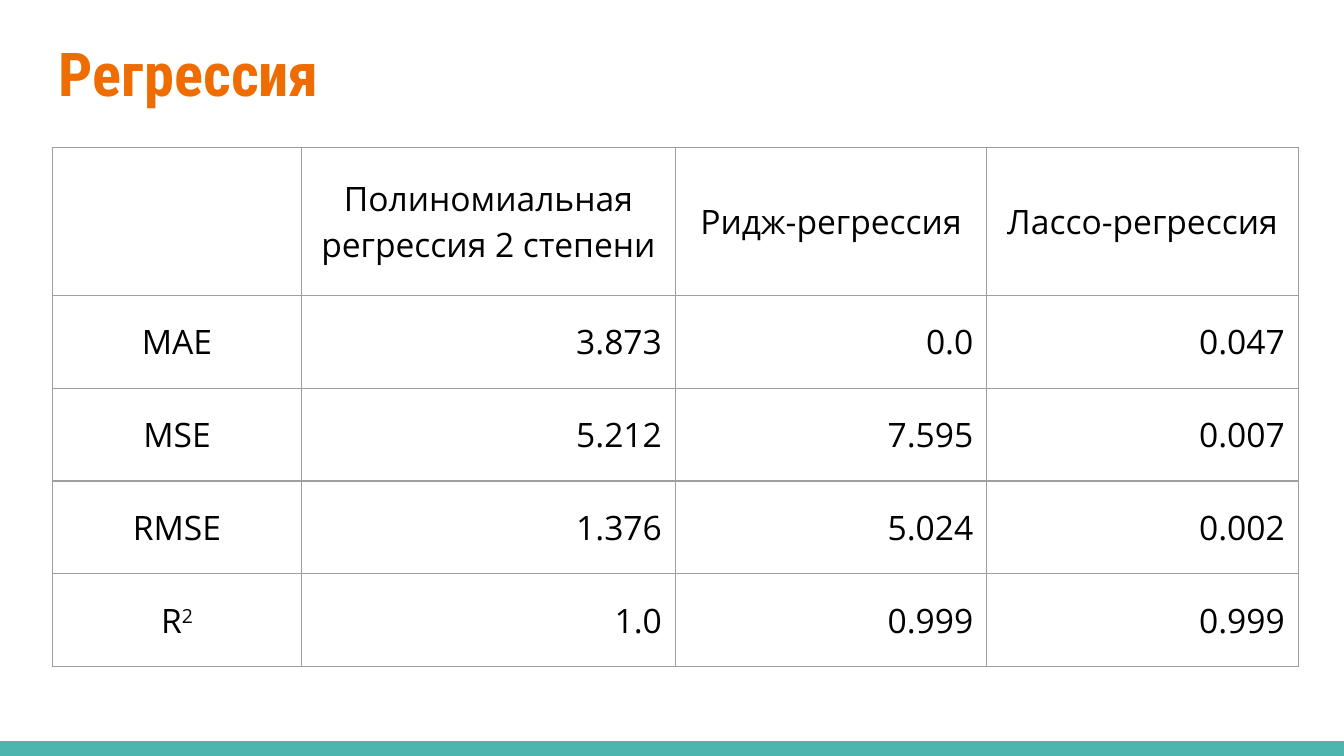
from lxml import etree
from pptx import Presentation
from pptx import util as u
from pptx.dml.color import RGBColor
from pptx.enum import shapes, text
from pptx.oxml import ns

# Content: a cell is a plain string or a list of (run, superscript)
HEADING = "Регрессия"
METRICS = [
    ["", "Полиномиальная регрессия 2 степени", "Ридж-регрессия", "Лассо-регрессия"],
    ["MAE", "3.873", "0.0", "0.047"],
    ["MSE", "5.212", "7.595", "0.007"],
    ["RMSE", "1.376", "5.024", "0.002"],
    [[("R", False), ("2", True)], "1.0", "0.999", "0.999"],
]

ORANGE = RGBColor(0xEF, 0x6C, 0x00)
TEAL = RGBColor(0x4D, 0xB6, 0xAC)
BLACK = RGBColor(0x00, 0x00, 0x00)
GREY = RGBColor(0x9E, 0x9E, 0x9E)

# Layout in inches, on a 16:9 slide
WIDTH = 10
HEIGHT = WIDTH * 9 / 16
BAND = 0.11
MARGIN = 0.34
TABLE_LEFT, TABLE_TOP = 0.39, 1.1
TABLE_WIDTH = 9.27
COLUMN_SHARES = [0.2, 0.3, 0.25, 0.25]
ROWS = [1.1] + [0.69] * (len(METRICS) - 1)
INSET = u.Inches(0.1)


def set_insets(holder):
    holder.margin_left = holder.margin_right = INSET
    holder.margin_top = holder.margin_bottom = INSET
    holder.vertical_anchor = text.MSO_ANCHOR.MIDDLE


def add_run(paragraph, words, font, size, color, bold=False, superscript=False):
    run = paragraph.add_run()
    run.text = words
    run.font.name, run.font.size, run.font.bold = font, u.Pt(size), bold
    run.font.color.rgb = color
    if superscript:
        run._r.get_or_add_rPr().set("baseline", "30000")


def add_borders(cell):
    properties = cell._tc.get_or_add_tcPr()
    for side in ("a:lnL", "a:lnR", "a:lnT", "a:lnB"):
        border = etree.SubElement(properties, ns.qn(side), w=str(u.Pt(0.75)))
        fill = etree.SubElement(border, ns.qn("a:solidFill"))
        etree.SubElement(fill, ns.qn("a:srgbClr"), val=str(GREY))


deck = Presentation()
deck.slide_width, deck.slide_height = u.Inches(WIDTH), u.Inches(HEIGHT)
slide = deck.slides.add_slide(deck.slide_layouts[6])

# Band along the bottom edge
band = slide.shapes.add_shape(
    shapes.MSO_SHAPE.RECTANGLE,
    0, u.Inches(HEIGHT - BAND), u.Inches(WIDTH), u.Inches(BAND))
band.shadow.inherit = False
band.fill.solid()
band.fill.fore_color.rgb = TEAL
band.line.fill.background()

# Heading
heading = slide.shapes.add_textbox(
    u.Inches(MARGIN), u.Inches(0.15),
    u.Inches(WIDTH - 2 * MARGIN), u.Inches(0.77)).text_frame
heading.word_wrap = True
set_insets(heading)
add_run(heading.paragraphs[0], HEADING, "Roboto Condensed", 32.4, ORANGE, bold=True)

# Table of metrics
metrics = slide.shapes.add_table(
    len(ROWS), len(COLUMN_SHARES), u.Inches(TABLE_LEFT), u.Inches(TABLE_TOP),
    u.Inches(TABLE_WIDTH), u.Inches(sum(ROWS))).table
metrics.first_row = metrics.horz_banding = False
for column, share in zip(metrics.columns, COLUMN_SHARES):
    column.width = u.Inches(TABLE_WIDTH * share)
for row, height in zip(metrics.rows, ROWS):
    row.height = u.Inches(height)

for r, values in enumerate(METRICS):
    for c, value in enumerate(values):
        cell = metrics.cell(r, c)
        set_insets(cell)
        add_borders(cell)
        cell.fill.background()
        paragraph = cell.text_frame.paragraphs[0]
        is_label = r == 0 or c == 0
        paragraph.alignment = text.PP_ALIGN.CENTER if is_label else text.PP_ALIGN.RIGHT
        runs = [(value, False)] if isinstance(value, str) else value
        for words, superscript in runs:
            if words:
                add_run(paragraph, words, "Open Sans", 18, BLACK, superscript=superscript)

deck.save("out.pptx")
